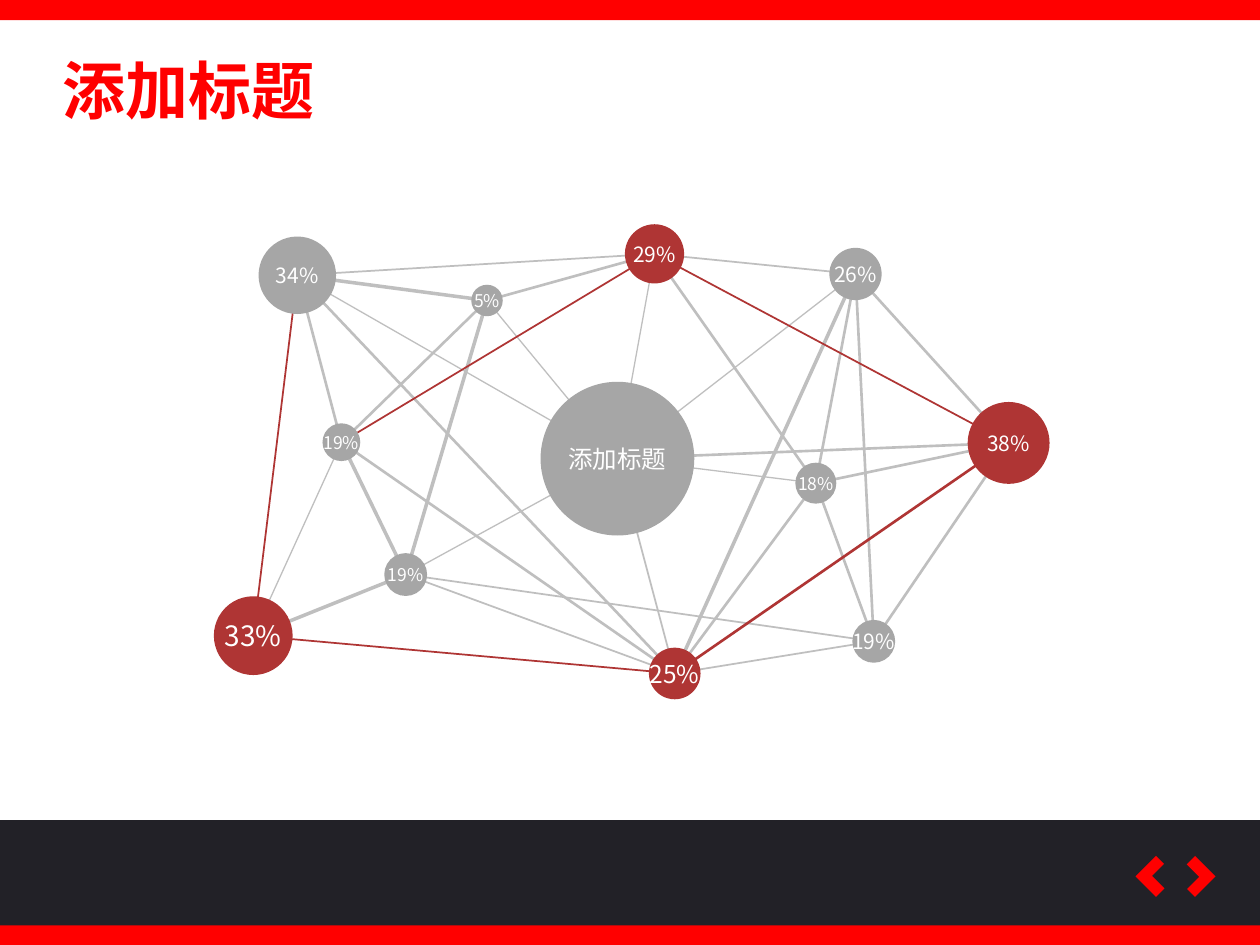
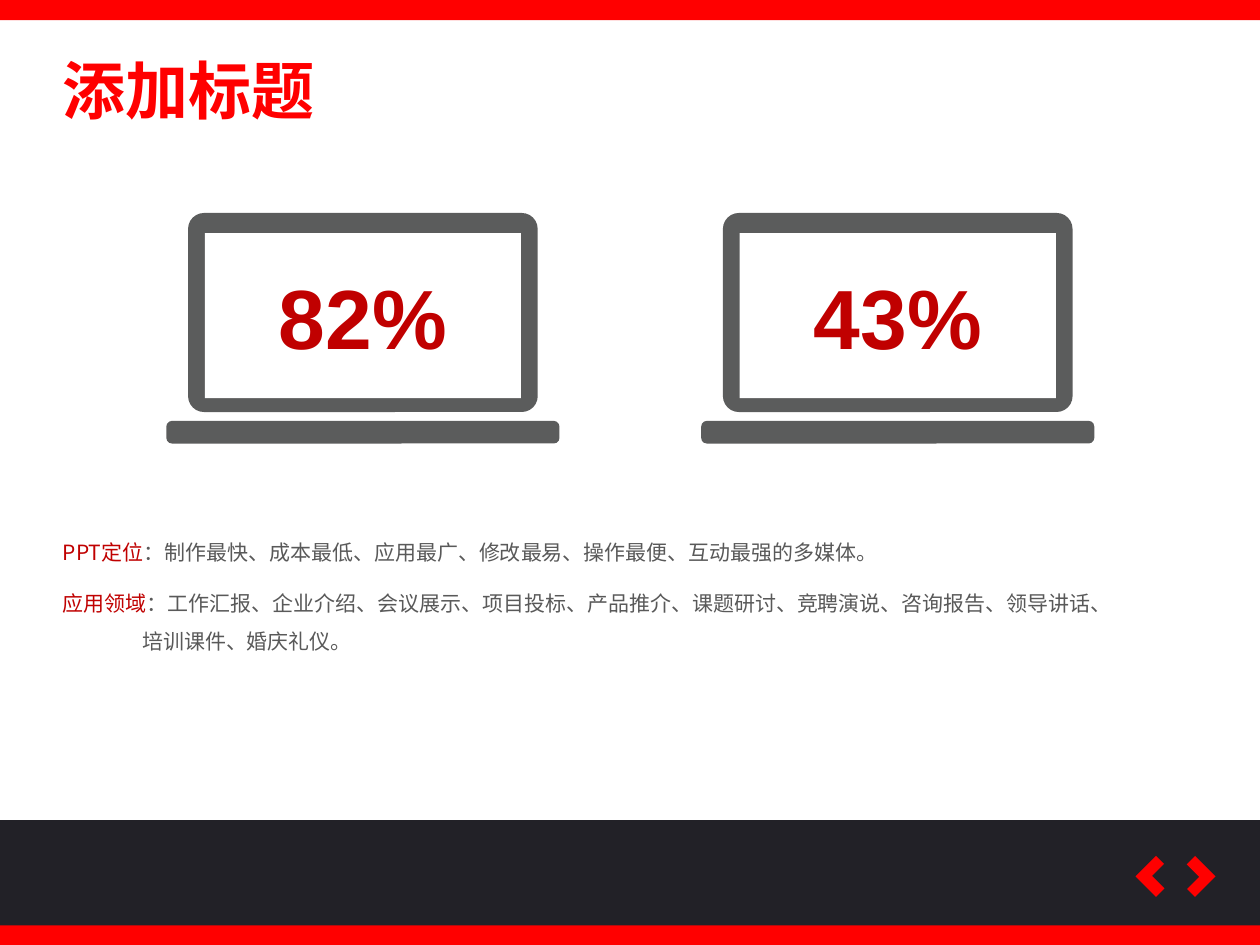
"""Build two report slides: a network of shares and a pair of laptop figures."""
from lxml.etree import SubElement
from pptx import Presentation
from pptx.dml.color import RGBColor
from pptx.enum.shapes import MSO_CONNECTOR, MSO_SHAPE as SHAPE
from pptx.enum.text import MSO_ANCHOR, PP_ALIGN
from pptx.oxml.ns import qn
from pptx.util import Inches, Pt

RED = RGBColor(0xFF, 0x00, 0x00)
DARK = RGBColor(0x22, 0x21, 0x27)
CRIMSON = RGBColor(0xAF, 0x35, 0x34)
GREY = RGBColor(0xA6, 0xA6, 0xA6)
PALE = RGBColor(0xBF, 0xBF, 0xBF)
STEEL = RGBColor(0x5B, 0x5C, 0x5C)
ACCENT = RGBColor(0xC0, 0x00, 0x00)
BODY = RGBColor(0x59, 0x59, 0x59)
WHITE = RGBColor(0xFF, 0xFF, 0xFF)
CJK = "Noto Sans CJK SC"

prs = Presentation()
prs.slide_width, prs.slide_height = Inches(10), Inches(7.5)
COL = prs.slide_width / 100


def add_block(s, kind, box, fill, adjustments=()):
    sp = s.shapes.add_shape(kind, *[int(COL * v) for v in box])
    sp.shadow.inherit = False
    sp.fill.solid()
    sp.fill.fore_color.rgb = fill
    sp.line.fill.background()
    for i, value in enumerate(adjustments):
        sp.adjustments[i] = value
    tf = sp.text_frame
    tf.margin_left = tf.margin_right = tf.margin_top = tf.margin_bottom = 0
    tf.vertical_anchor = MSO_ANCHOR.MIDDLE
    tf.word_wrap = False
    return sp


def set_text(p, text, size, color, name=CJK, bold=False, align=PP_ALIGN.CENTER):
    p.alignment = align
    p.font.size, p.font.bold = Pt(size), bold
    p.font.color.rgb = color
    p.font.name = name
    SubElement(p._p.pPr.find(qn("a:defRPr")), qn("a:ea")).set("typeface", name)
    p.add_run().text = text


slides = []
for _ in range(2):
    s = prs.slides.add_slide(prs.slide_layouts[6])
    for top, height, fill in ((73.4, 1.6, RED), (65.1, 8.35, DARK), (0, 1.6, RED)):
        add_block(s, SHAPE.RECTANGLE, (0, top, 100, height), fill)
    for left, angle in ((90.6, 45), (93.7, 225)):
        sp = add_block(s, SHAPE.CORNER, (left, 68.4, 2.3, 2.3), RED, (0.41, 0.39))
        sp.rotation = angle
    tb = s.shapes.add_textbox(*[int(COL * v) for v in (4, 3.6, 22.2, 7.1)])
    tb.text_frame.word_wrap = False
    set_text(tb.text_frame.paragraphs[0], "添加标题", 36, RED, bold=True, align=PP_ALIGN.LEFT)
    slides.append(s)
network, laptops = slides

nodes = {
    "top_left": (23.6, 21.85, 6.15, "34%", 12, GREY),
    "top": (51.95, 20.15, 4.7, "29%", 12, CRIMSON),
    "top_right": (67.9, 21.75, 4.15, "26%", 12, GREY),
    "small": (38.65, 23.85, 2.5, "5%", 10, GREY),
    "left": (27.1, 35.1, 3, "19%", 10, GREY),
    "hub": (49, 36.4, 12.2, "添加标题", 14, GREY),
    "right": (80.05, 35.15, 6.5, "38%", 12, CRIMSON),
    "inner_right": (64.75, 38.35, 3.25, "18%", 10, GREY),
    "inner_left": (32.2, 45.6, 3.4, "19%", 10, GREY),
    "low_left": (20.1, 50.45, 6.25, "33%", 16, CRIMSON),
    "bottom": (53.55, 53.45, 4.1, "25%", 14, CRIMSON),
    "low_right": (69.35, 50.9, 3.4, "19%", 12, GREY),
}
links = (
    (PALE, 0.75, "hub", "top_left small top top_right inner_right inner_left"),
    (PALE, 1, "hub", "bottom"),
    (PALE, 1.5, "hub", "right"),
    (PALE, 2, "top_left", "small"),
    (PALE, 1.5, "top_left", "left bottom"),
    (PALE, 1, "top", "top_left top_right"),
    (PALE, 1.5, "top", "small inner_right"),
    (PALE, 1.5, "top_right", "right inner_right low_right"),
    (PALE, 2, "inner_left", "small left low_left"),
    (PALE, 1, "inner_left", "bottom low_right"),
    (PALE, 1.5, "left", "small bottom"),
    (PALE, 0.75, "left", "low_left"),
    (PALE, 1.5, "inner_right", "bottom low_right right"),
    (PALE, 1.5, "right", "low_right"),
    (PALE, 2, "bottom", "top_right"),
    (PALE, 1, "bottom", "low_right"),
    (CRIMSON, 1, "low_left", "top_left bottom"),
    (CRIMSON, 1, "top", "left right"),
    (CRIMSON, 1.5, "bottom", "right"),
)
for color, width, start, ends in links:
    for end in ends.split():
        points = [int(COL * v) for v in nodes[start][:2] + nodes[end][:2]]
        line = network.shapes.add_connector(MSO_CONNECTOR.STRAIGHT, *points)
        line.line.color.rgb, line.line.width = color, Pt(width)
        SubElement(line._element.spPr, qn("a:effectLst"))
for x, y, size, label, points, fill in nodes.values():
    sp = add_block(network, SHAPE.OVAL, (x - size / 2, y - size / 2, size, size), fill)
    set_text(sp.text_frame.paragraphs[0], label, points, WHITE)

for center, share in ((28.8, "82%"), (71.25, "43%")):
    for kind, top, width, height, fill, adjustments in (
        (SHAPE.ROUNDED_RECTANGLE, 33.4, 31.2, 1.8, STEEL, (0.25,)),
        (SHAPE.ROUNDED_RECTANGLE, 16.9, 27.75, 15.8, STEEL, (0.08,)),
        (SHAPE.RECTANGLE, 18.5, 25.1, 13.1, WHITE, ()),
    ):
        sp = add_block(laptops, kind, (center - width / 2, top, width, height), fill, adjustments)
    set_text(sp.text_frame.paragraphs[0], share, 48, ACCENT, "Arial", True)

notes = (
    (41.3, 69.2, 4, "PPT定位", ("：制作最快、成本最低、应用最广、修改最易、操作最便、互动最强的多媒体。",)),
    (45.4, 85.7, 7.1, "应用领域",
     ("：工作汇报、企业介绍、会议展示、项目投标、产品推介、课题研讨、竞聘演说、咨询报告、领导讲话、",
      "培训课件、婚庆礼仪。")),
)
for top, width, height, term, lines in notes:
    tf = laptops.shapes.add_textbox(*[int(COL * v) for v in (4, top, width, height)]).text_frame
    tf.word_wrap = True
    for i, text in enumerate(lines):
        p = tf.add_paragraph() if i else tf.paragraphs[0]
        p.line_spacing = 1.5
        if i:
            p._p.get_or_add_pPr().set("marL", str(int(COL * 6.3)))
        else:
            r = p.add_run()
            r.text = term
            r.font.color.rgb = ACCENT
        set_text(p, text, 12, BODY, align=PP_ALIGN.LEFT)

prs.save("out.pptx")
